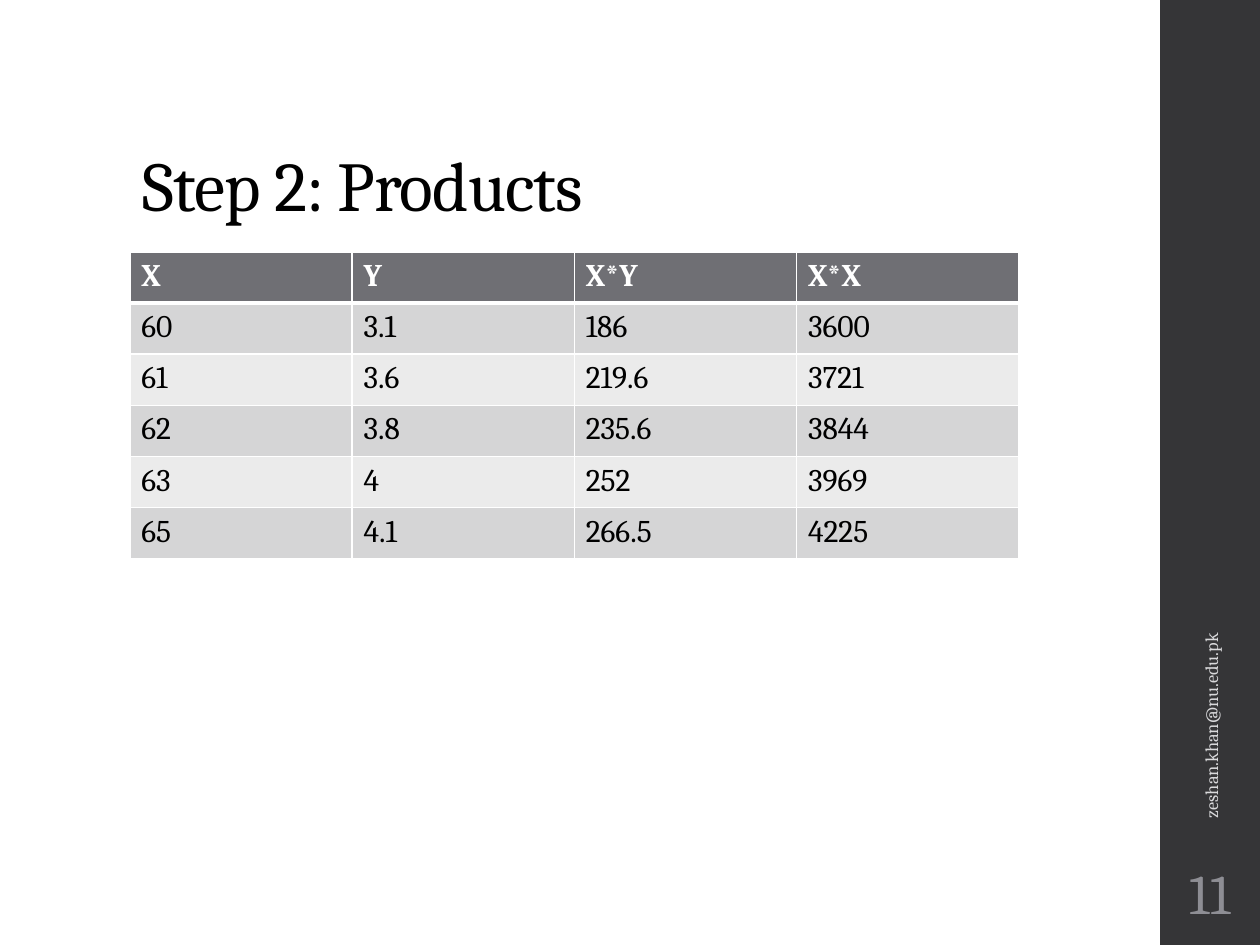
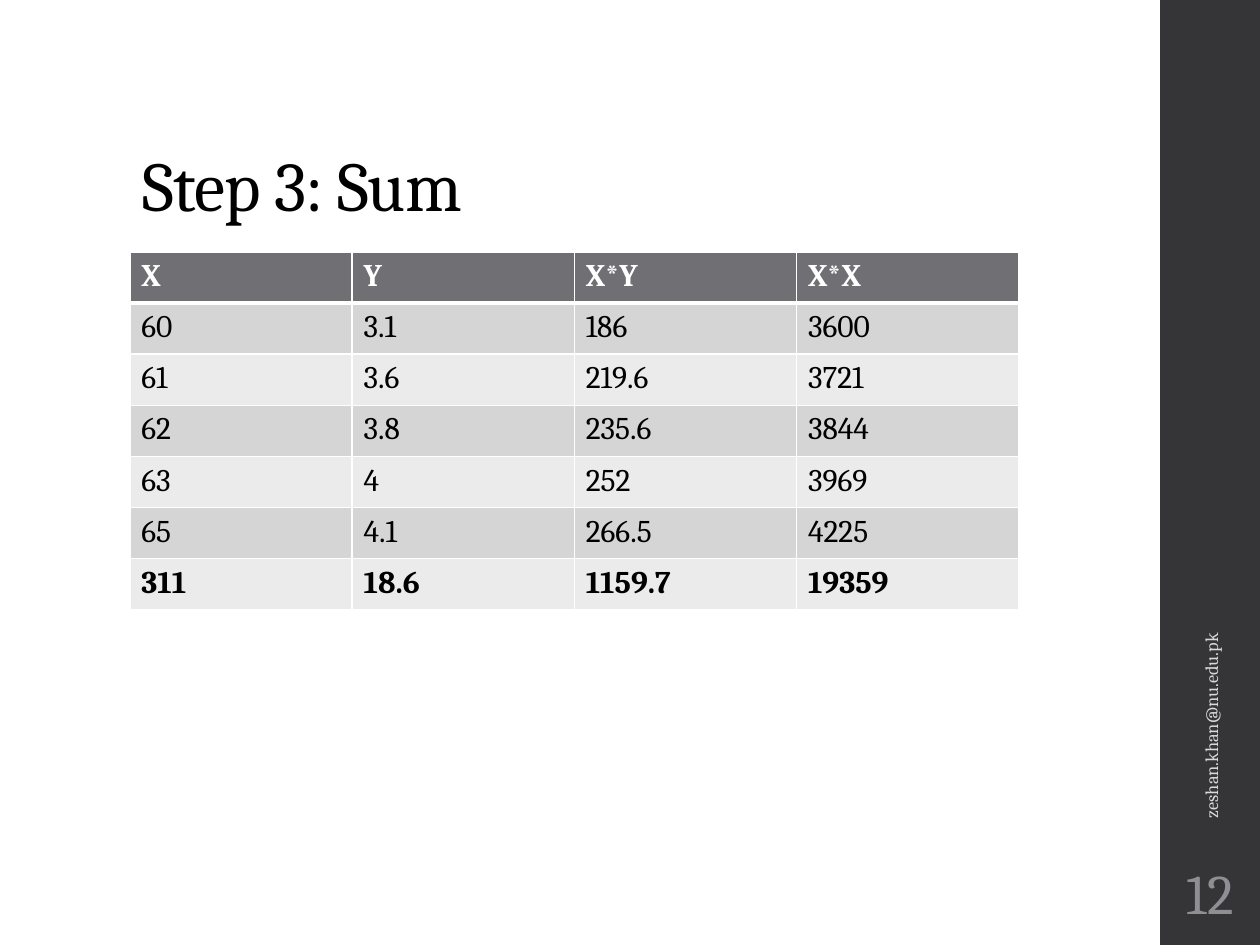
from lxml import etree
from pptx import Presentation
from pptx.dml.color import RGBColor
from pptx.enum.shapes import MSO_SHAPE
from pptx.enum.text import MSO_ANCHOR, MSO_AUTO_SIZE, PP_ALIGN
from pptx.oxml.ns import qn
from pptx.util import Cm, Pt

LEFT, CENTER = PP_ALIGN.LEFT, PP_ALIGN.CENTER
MIDDLE, BOTTOM = MSO_ANCHOR.MIDDLE, MSO_ANCHOR.BOTTOM
RECTANGLE = MSO_SHAPE.RECTANGLE
NO_AUTOFIT = MSO_AUTO_SIZE.NONE
TITLE_ONLY = 5

HEADER = ("X", "Y", "X*Y", "X*X")
PRODUCTS = [
    ("60", "3.1", "186", "3600"),
    ("61", "3.6", "219.6", "3721"),
    ("62", "3.8", "235.6", "3844"),
    ("63", "4", "252", "3969"),
    ("65", "4.1", "266.5", "4225"),
]
SUMS = ("311", "18.6", "1159.7", "19359")
SLIDES = [
    {"title": "Step 2: Products", "rows": PRODUCTS, "total": None},
    {"title": "Step 3: Sum", "rows": PRODUCTS, "total": SUMS},
]
FIRST_NUMBER = 11
EMAIL = "zeshan.khan@nu.edu.pk"

FONT = "Cambria"
COLORS = {
    "text": "000000",
    "white": "FFFFFF",
    "band": "353537",
    "email": "D9D9DB",
    "number": "8E8E94",
    "header": "6F6F74",
    "odd row": "D5D5D6",
    "even row": "EBEBEB",
}

SLIDE_WIDTH, SLIDE_HEIGHT = Cm(25.4), Cm(19.05)
BAND_LEFT = Cm(23.39)
CONTENT_LEFT = Cm(2.62)
TABLE_TOP = Cm(5.08)
COLUMN_WIDTH, ROW_HEIGHT = Cm(4.48), Cm(1.03)
CELL_MARGIN = Cm(0.23)
THIN, THICK = Pt(1), Pt(3)


def color(name):
    return RGBColor.from_string(COLORS[name])


def format_font(font, size, color_name, bold=False):
    font.name, font.size, font.bold = FONT, Pt(size), bold
    font.color.rgb = color(color_name)


def set_borders(cell, top, bottom):
    """Draw white cell borders; the sides are always thin."""
    properties = cell._tc.get_or_add_tcPr()
    for side, width in (("L", THIN), ("R", THIN), ("T", top), ("B", bottom)):
        line = etree.SubElement(properties, qn(f"a:ln{side}"), w=str(width))
        fill = etree.SubElement(line, qn("a:solidFill"))
        etree.SubElement(fill, qn("a:srgbClr"), val=COLORS["white"])


def add_title(page, text):
    title = page.shapes.title
    title.left, title.top = CONTENT_LEFT, Cm(1.02)
    title.width, title.height = Cm(20.19), Cm(3.68)
    frame = title.text_frame
    frame.text = text
    frame.vertical_anchor = BOTTOM
    frame.auto_size = NO_AUTOFIT
    para = frame.paragraphs[0]
    para.alignment, para.line_spacing = LEFT, 0.9
    span = para.runs[0]
    format_font(span.font, 40, "text")
    span.font._element.set("spc", "-50")


def add_label(page, text, place, size, color_name, alignment=LEFT, rotation=0):
    box = page.shapes.add_textbox(*place)
    box.rotation = rotation
    frame = box.text_frame
    frame.word_wrap = True
    frame.vertical_anchor = MIDDLE
    frame.text = text
    para = frame.paragraphs[0]
    para.alignment = alignment
    format_font(para.runs[0].font, size, color_name)


def add_side_band(page, number):
    band = page.shapes.add_shape(
        RECTANGLE, BAND_LEFT, 0, SLIDE_WIDTH - BAND_LEFT, SLIDE_HEIGHT)
    band.shadow.inherit = False
    band.fill.solid()
    band.fill.fore_color.rgb = color("band")
    band.line.fill.background()
    add_label(page, EMAIL, (Cm(19.43), Cm(11.38), Cm(9.96), Cm(0.76)),
              10.5, "email", rotation=270)
    add_label(page, str(number), (Cm(23.44), Cm(17.15), Cm(1.91), Cm(1.65)),
              32, "number", alignment=CENTER)


def add_value_table(page, rows, total):
    lines = [HEADER, *rows] + ([total] if total else [])
    table = page.shapes.add_table(
        len(lines), len(HEADER), CONTENT_LEFT, TABLE_TOP,
        COLUMN_WIDTH * len(HEADER), ROW_HEIGHT * len(lines)).table
    for column in table.columns:
        column.width = COLUMN_WIDTH
    for row_index, values in enumerate(lines):
        table.rows[row_index].height = ROW_HEIGHT
        is_header = row_index == 0
        stripe = "odd row" if row_index % 2 else "even row"
        for column_index, value in enumerate(values):
            cell = table.cell(row_index, column_index)
            cell.text = value
            cell.margin_left = cell.margin_right = CELL_MARGIN
            set_borders(cell, top=THICK if row_index == 1 else THIN,
                        bottom=THICK if is_header else THIN)
            cell.fill.solid()
            cell.fill.fore_color.rgb = color("header" if is_header else stripe)
            format_font(cell.text_frame.paragraphs[0].runs[0].font, 18,
                        "white" if is_header else "text",
                        bold=is_header or values is total)


def main():
    deck = Presentation()
    deck.slide_width, deck.slide_height = SLIDE_WIDTH, SLIDE_HEIGHT
    for number, content in enumerate(SLIDES, FIRST_NUMBER):
        page = deck.slides.add_slide(deck.slide_layouts[TITLE_ONLY])
        add_side_band(page, number)
        add_title(page, content["title"])
        add_value_table(page, content["rows"], content["total"])
    deck.save("out.pptx")


if __name__ == "__main__":
    main()
